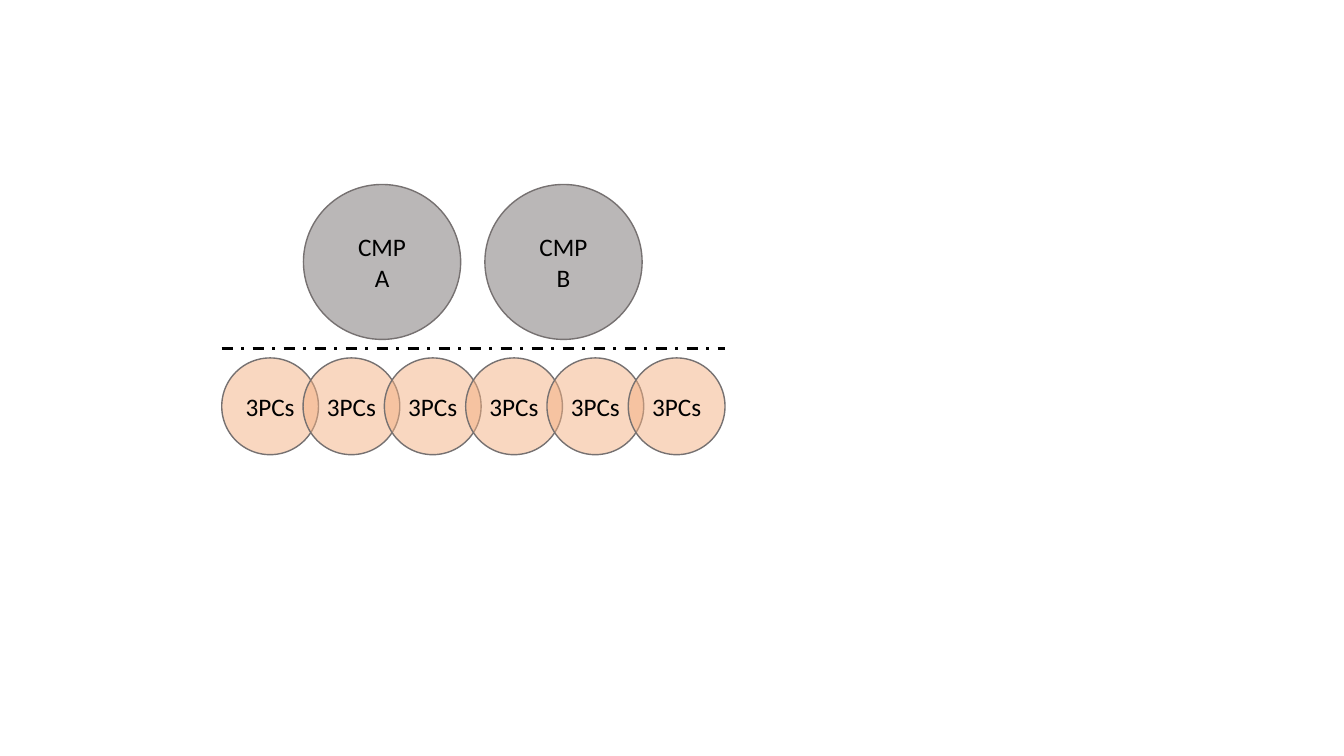
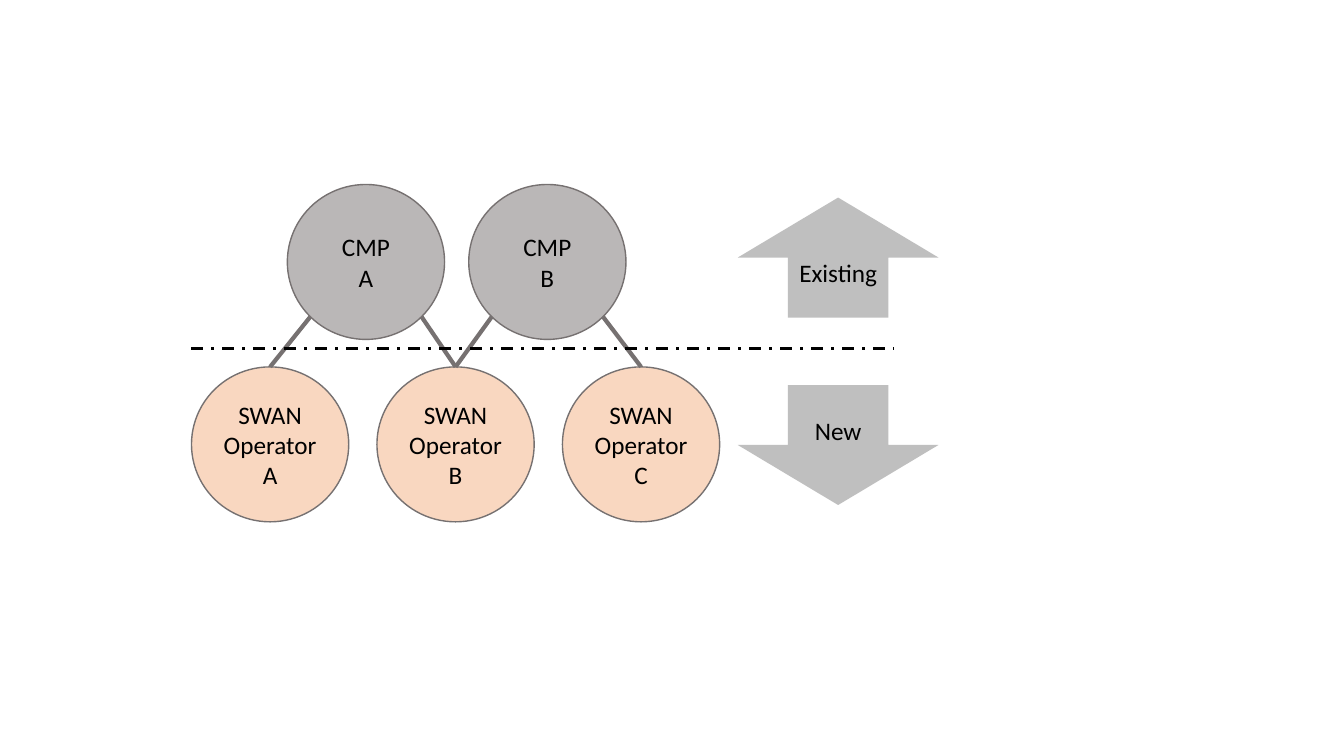
"""Build two diagrams that compare third-party cookies with SWAN operators below the CMPs."""
from math import cos, pi

from pptx import Presentation
from pptx.dml.color import RGBColor
from pptx.enum.dml import MSO_LINE_DASH_STYLE as DASH
from pptx.enum.shapes import MSO_CONNECTOR as CONN, MSO_SHAPE as SHAPE
from pptx.enum.text import MSO_ANCHOR as ANCHOR, PP_ALIGN as ALIGN
from pptx.oxml.ns import qn
from pptx.oxml.xmlchemy import OxmlElement
from pptx.util import Inches, Pt

WIDTH, HEIGHT = Inches(13.333), Inches(7.5)
COL, ROW = WIDTH / 100, HEIGHT / 100

BLACK = RGBColor(0x00, 0x00, 0x00)
GREY = RGBColor(0x76, 0x71, 0x71)
ORANGE = RGBColor(0xF4, 0xB1, 0x83)
SILVER = RGBColor(0xBF, 0xBF, 0xBF)

LARGE = (11.7, 20.5)
SMALL = (7.2, 12.8)
CMP_TOP, CMP_PITCH = 24.4, 13.5
DIVIDER_ROW = 46.13
CMPS = ["CMP\nA", "CMP\nB"]


def cols(n):
    return round(n * COL)


def rows(n):
    return round(n * ROW)


def put_text(sp, text, size=18, color=BLACK, font="Calibri", align=ALIGN.CENTER, inset=0.05):
    tf = sp.text_frame
    tf.word_wrap = True
    tf.vertical_anchor = ANCHOR.MIDDLE
    tf.margin_left = tf.margin_right = tf.margin_top = tf.margin_bottom = Inches(inset)
    tf.text = text
    for p in tf.paragraphs:
        p.alignment = align
        for r in p.runs:
            r.font.size, r.font.name = Pt(size), font
            r.font.color.rgb = color


def add_filled(shapes, kind, left, top, size, fill, text):
    width, height = size
    sp = shapes.add_shape(kind, cols(left), rows(top), cols(width), rows(height))
    sp.shadow.inherit = False
    sp.fill.solid()
    sp.fill.fore_color.rgb = fill
    sp.line.fill.background()
    put_text(sp, text)
    return sp


def add_circle(shapes, left, top, size, fill, text):
    sp = add_filled(shapes, SHAPE.OVAL, left, top, size, fill, text)
    alpha = OxmlElement("a:alpha")
    alpha.set("val", "50000")
    sp.fill._xPr.find(qn("a:solidFill"))[0].append(alpha)
    sp.line.color.rgb = GREY
    sp.line.width = Pt(1)
    return sp


def add_circle_row(shapes, left, top, pitch, size, fill, texts):
    return [add_circle(shapes, left + i * pitch, top, size, fill, text)
            for i, text in enumerate(texts)]


def add_line(shapes, start, end, color, width):
    line = shapes.add_connector(CONN.STRAIGHT, *start, *end)
    line.line.color.rgb = color
    line.line.width = Pt(width)
    line._element.spPr.append(OxmlElement("a:effectLst"))
    return line


def add_divider(shapes, left, right):
    y = rows(DIVIDER_ROW)
    line = add_line(shapes, (cols(left), y), (cols(right), y), BLACK, 2)
    line.line.dash_style = DASH.DASH_DOT


def add_link(shapes, cmp, operator, side):
    """Join a CMP's lower left (side -1) or lower right (side 1) to an operator's top."""
    reach = cos(pi / 4)
    start = (round(cmp.left + cmp.width / 2 * (1 + side * reach)),
             round(cmp.top + cmp.height / 2 * (1 + reach)))
    top = (operator.left + operator.width // 2, operator.top)
    add_line(shapes, start, top, GREY, 3).end_connect(operator, 0)


def build_cookies(shapes):
    add_circle_row(shapes.add_group_shape().shapes, 22.58, CMP_TOP, CMP_PITCH, LARGE, GREY, CMPS)
    add_divider(shapes, 16.5, 53.95)
    add_circle_row(shapes.add_group_shape().shapes, 16.5, 47.35, 6.05, SMALL, ORANGE,
                   ["3PCs"] * 6)


def build_swan(shapes):
    operators = add_circle_row(shapes, 14.25, 48.53, 13.8, LARGE, ORANGE,
                               [f"SWAN\nOperator\n{name}" for name in "ABC"])
    cmps = add_circle_row(shapes, 21.38, CMP_TOP, CMP_PITCH, LARGE, GREY, CMPS)
    for i, cmp in enumerate(cmps):
        add_link(shapes, cmp, operators[i], -1)
        add_link(shapes, cmp, operators[i + 1], 1)
    add_divider(shapes, 14.25, 66.53)
    for kind, top, text in [(SHAPE.DOWN_ARROW, 50.93, "New"), (SHAPE.UP_ARROW, 26.13, "Existing")]:
        add_filled(shapes, kind, 54.9, top, (14.93, 15.87), SILVER, text)


def main():
    prs = Presentation()
    prs.slide_width, prs.slide_height = WIDTH, HEIGHT
    for build in (build_cookies, build_swan):
        build(prs.slides.add_slide(prs.slide_layouts[6]).shapes)
    prs.save("out.pptx")


if __name__ == "__main__":
    main()
